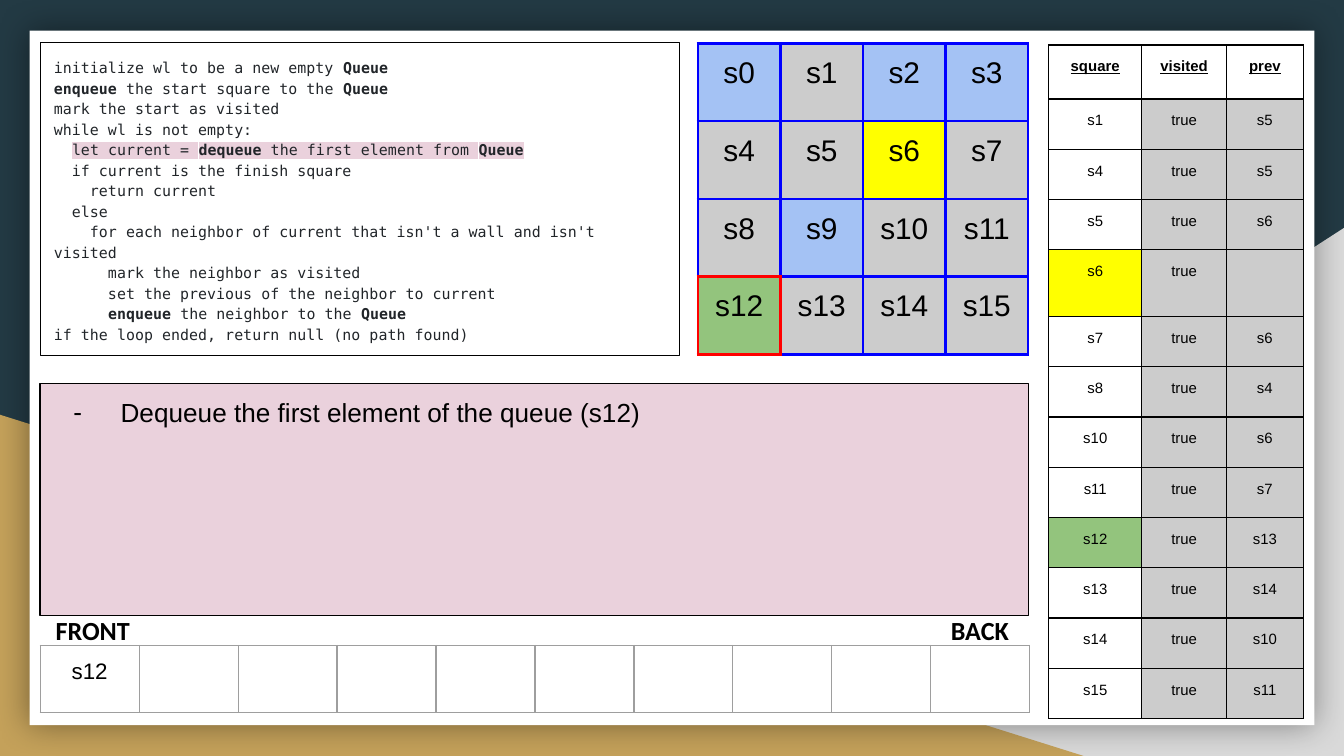
from dataclasses import dataclass

from lxml import etree
from pptx import Presentation
from pptx import util as u
from pptx.dml.color import RGBColor
from pptx.enum import shapes, text
from pptx.oxml import ns

Cm, Pt = u.Cm, u.Pt


@dataclass(frozen=True)
class Theme:
    navy: str = "233A44"
    silver: str = "D9D9D9"
    gold: str = "C4A15A"
    white: str = "FFFFFF"
    black: str = "000000"
    code: str = "212529"
    pink: str = "EAD1DC"
    gray: str = "CCCCCC"
    wall: str = "A4C2F4"
    start: str = "FFFF00"
    finish: str = "93C47D"
    blue: str = "0000FF"
    red: str = "FF0000"
    rule: str = "9E9E9E"
    sans: str = "Arial"
    mono: str = "DejaVu Sans Mono"
    label: str = "Calibri"
    small: int = 8
    queue: int = 12
    body: int = 14
    grid: int = 16


T = Theme()
MARGIN = Cm(0.25)


def style(p, size, name=T.sans, color=T.black, bold=None):
    p.font.size, p.font.name, p.font.bold = Pt(size), name, bold
    p.font.color.rgb = RGBColor.from_string(color)


def add_grid(x, y, widths, heights, rows, size, line, weight, fill_of, edges={}):
    tb = s.shapes.add_table(len(rows), len(widths), Cm(x), Cm(y),
                            Cm(sum(widths)), Cm(sum(heights))).table
    tb.first_row = tb.horz_banding = False
    for col, w in zip(tb.columns, widths):
        col.width = Cm(w)
    for row, h in zip(tb.rows, heights):
        row.height = Cm(h)
    for i, row in enumerate(rows):
        for j, value in enumerate(row):
            c = tb.cell(i, j)
            c.margin_left = c.margin_right = c.margin_top = c.margin_bottom = MARGIN
            pr = c._tc.get_or_add_tcPr()
            for side in "LRTB":
                ln = etree.SubElement(pr, ns.qn(f"a:ln{side}"), w=str(Pt(weight)))
                fill = etree.SubElement(ln, ns.qn("a:solidFill"))
                color = T.red if side in edges.get(value, "") else line
                etree.SubElement(fill, ns.qn("a:srgbClr"), val=color)
            color = fill_of(i, j, value)
            if color:
                c.fill.solid()
                c.fill.fore_color.rgb = RGBColor.from_string(color)
            else:
                c.fill.background()
            if value:
                p = c.text_frame.paragraphs[0]
                p.text = value
                p.alignment = text.PP_ALIGN.CENTER
                style(p, size)
    return tb


prs = Presentation()
prs.slide_width, prs.slide_height = Cm(25.4), Cm(14.29)
s = prs.slides.add_slide(prs.slide_layouts[6])
s.background.fill.solid()
s.background.fill.fore_color.rgb = RGBColor.from_string(T.navy)

RECT, TRIANGLE = shapes.MSO_SHAPE.RECTANGLE, shapes.MSO_SHAPE.RIGHT_TRIANGLE
panels = {}
for name, kind, x, y, w, h, color, outlined in (
    ("right corner", TRIANGLE, 9.96, 4.31, 15.44, 9.98, T.silver, False),
    ("left corner", TRIANGLE, 0, 7.84, 20.48, 6.45, T.gold, False),
    ("card", RECT, 0.56, 0.58, 24.28, 13.13, T.white, False),
    ("code", RECT, 0.77, 0.81, 12.07, 5.91, None, True),
    ("step", RECT, 0.76, 7.25, 18.68, 4.39, T.pink, True),
):
    sp = panels[name] = s.shapes.add_shape(kind, Cm(x), Cm(y), Cm(w), Cm(h))
    sp.shadow.inherit = False
    if color:
        sp.fill.solid()
        sp.fill.fore_color.rgb = RGBColor.from_string(color)
    else:
        sp.fill.background()
    if outlined:
        sp.line.color.rgb = RGBColor.from_string(T.black)
        sp.line.width = Pt(0.75)
    else:
        sp.line.fill.background()

panels["right corner"].element.spPr.xfrm.set("flipH", "1")
effects = panels["card"].element.spPr.find(ns.qn("a:effectLst"))
shadow = etree.SubElement(effects, ns.qn("a:outerShdw"), blurRad=str(Pt(18)),
                          dist="0", algn="ctr", rotWithShape="0")
tint = etree.SubElement(shadow, ns.qn("a:srgbClr"), val=T.black)
etree.SubElement(tint, ns.qn("a:alpha"), val="40000")

labels = s.shapes.add_textbox(Cm(0.8), Cm(11.39), Cm(18.64), Cm(0.48))
frames = [sp.text_frame for sp in (panels["code"], panels["step"], labels)]
for tf in frames:
    tf.word_wrap = True
    tf.vertical_anchor = text.MSO_ANCHOR.TOP
    tf.margin_left = tf.margin_right = tf.margin_top = tf.margin_bottom = MARGIN
code_tf, step_tf, label_tf = frames
code_tf.margin_right = Cm(0.3)

CODE = """initialize wl to be a new empty *Queue*
*enqueue* the start square to the *Queue*
mark the start as visited
while wl is not empty:
  let current = *dequeue* the first element from *Queue*
  if current is the finish square
    return current
  else
    for each neighbor of current that isn't a wall and isn't visited
      mark the neighbor as visited
      set the previous of the neighbor to current
      *enqueue* the neighbor to the *Queue*
if the loop ended, return null (no path found)"""
for i, line in enumerate(CODE.split("\n")):
    p = code_tf.paragraphs[0] if i == 0 else code_tf.add_paragraph()
    p.alignment = text.PP_ALIGN.LEFT
    p.line_spacing = 1.15
    style(p, T.small, T.mono, T.code)
    current = "dequeue" in line
    if current:
        p.add_run().text = "  "
        line = line.strip()
    for k, part in enumerate(line.split("*")):
        if part:
            r = p.add_run()
            r.text = part
            r.font.bold = k % 2 == 1
            if current:
                mark = etree.SubElement(r._r.get_or_add_rPr(), ns.qn("a:highlight"))
                etree.SubElement(mark, ns.qn("a:srgbClr"), val=T.pink)

p = step_tf.paragraphs[0]
p.text = "Dequeue the first element of the queue (s12)"
p.alignment = text.PP_ALIGN.LEFT
pr = p._p.get_or_add_pPr()
pr.set("marL", str(Cm(1.27)))
pr.set("indent", str(-Cm(0.89)))
etree.SubElement(pr, ns.qn("a:buSzPts"), val=str(T.body * 100))
etree.SubElement(pr, ns.qn("a:buFont"), typeface=T.sans)
etree.SubElement(pr, ns.qn("a:buChar"), char="-")
style(p, T.body)

p = label_tf.paragraphs[0]
p.text = "FRONT\tBACK"
tabs = etree.SubElement(p._p.get_or_add_pPr(), ns.qn("a:tabLst"))
etree.SubElement(tabs, ns.qn("a:tab"), pos=str(Cm(18.02)), algn="r")
style(p, T.body, T.label, bold=True)

marks = {"s6": T.start, "s12": T.finish}
walls = {"s0", "s2", "s3", "s9"}
squares = [[f"s{4 * i + j}" for j in range(4)] for i in range(4)]
add_grid(13.19, 0.82, [1.56] * 4, [1.47] * 4, squares, T.grid, T.blue, 1.5,
         lambda i, j, v: T.wall if v in walls else marks.get(v, T.gray),
         {"s8": "B", "s12": "LRTB", "s13": "L"})

prev = {"s1": "s5", "s4": "s5", "s5": "s6", "s6": "", "s7": "s6", "s8": "s4",
        "s10": "s6", "s11": "s7", "s12": "s13", "s13": "s14", "s14": "s10",
        "s15": "s11"}
visits = [("square", "visited", "prev")] + [(k, "true", v) for k, v in prev.items()]
heights = [1.02] + [0.95 if v else 1.23 for v in prev.values()]
tb = add_grid(19.82, 0.85, [1.76, 1.6, 1.45], heights, visits, T.small, T.black, 0.75,
              lambda i, j, v: None if i == 0 else T.gray if j else marks.get(v))
for c in tb.rows[0].cells:
    font = c.text_frame.paragraphs[0].font
    font.bold = font.underline = True

add_grid(0.76, 12.2, [1.87] * 10, [1.22], [["s12"] + [""] * 9], T.queue, T.rule, 0.75,
         lambda i, j, v: None)

prs.save("out.pptx")
